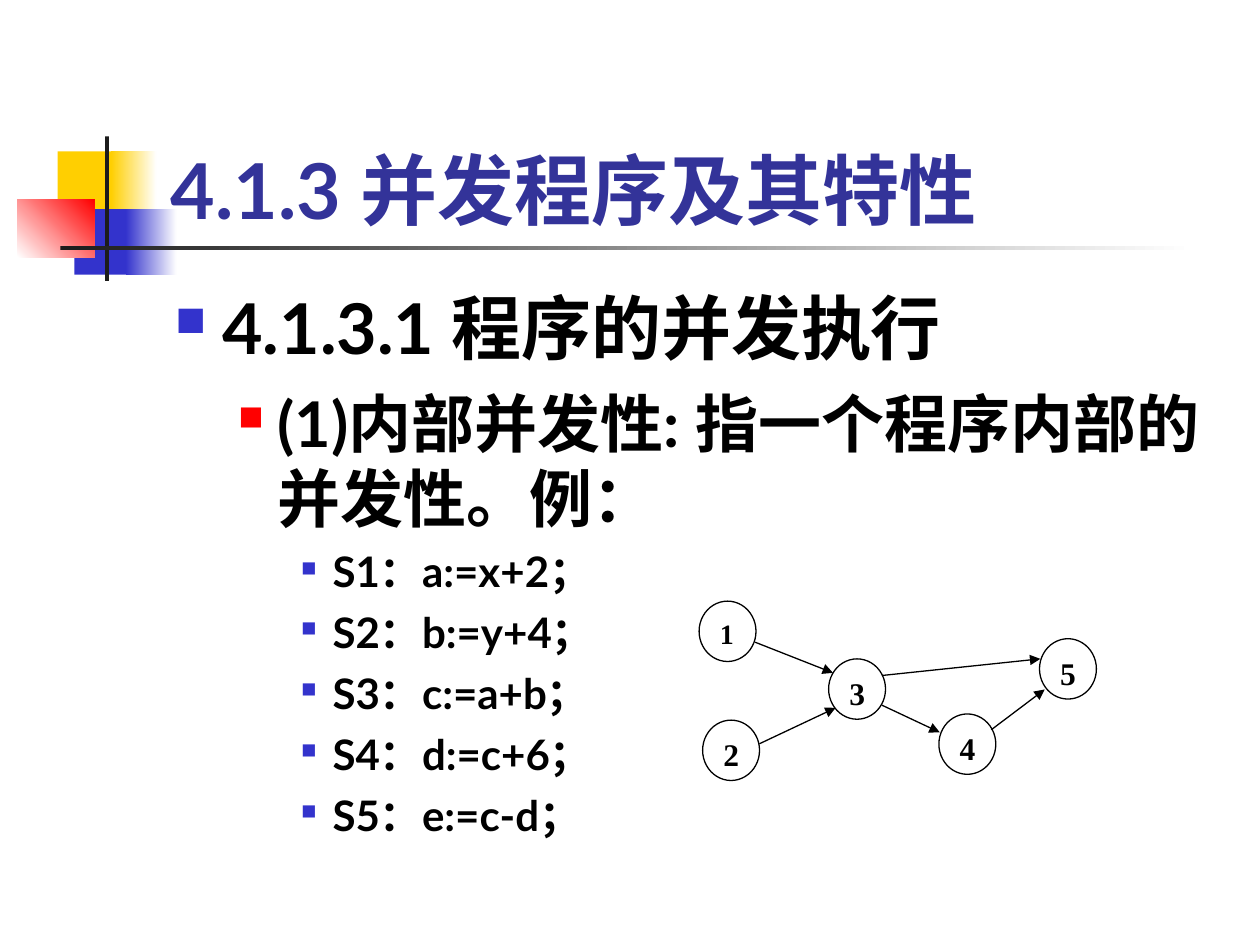
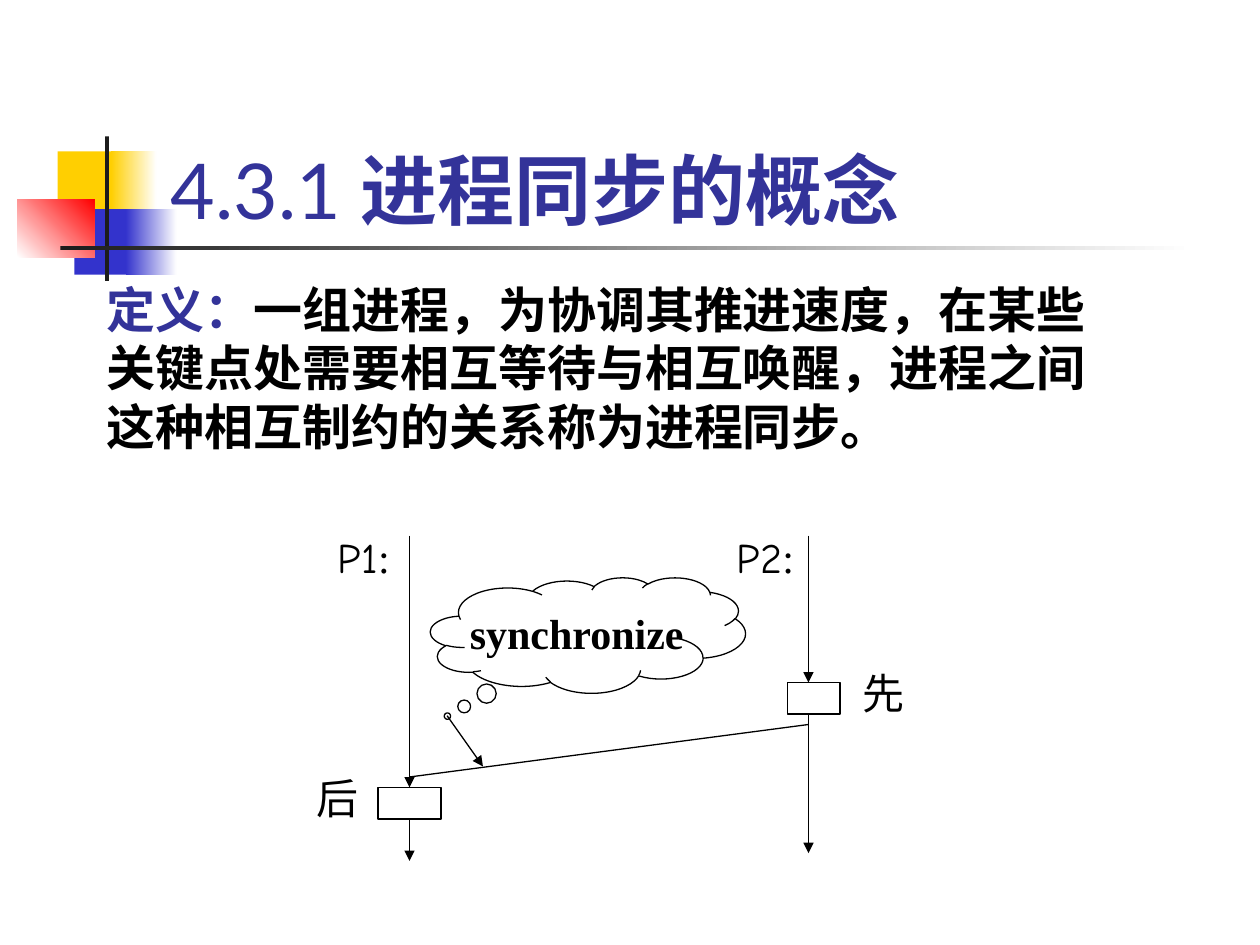
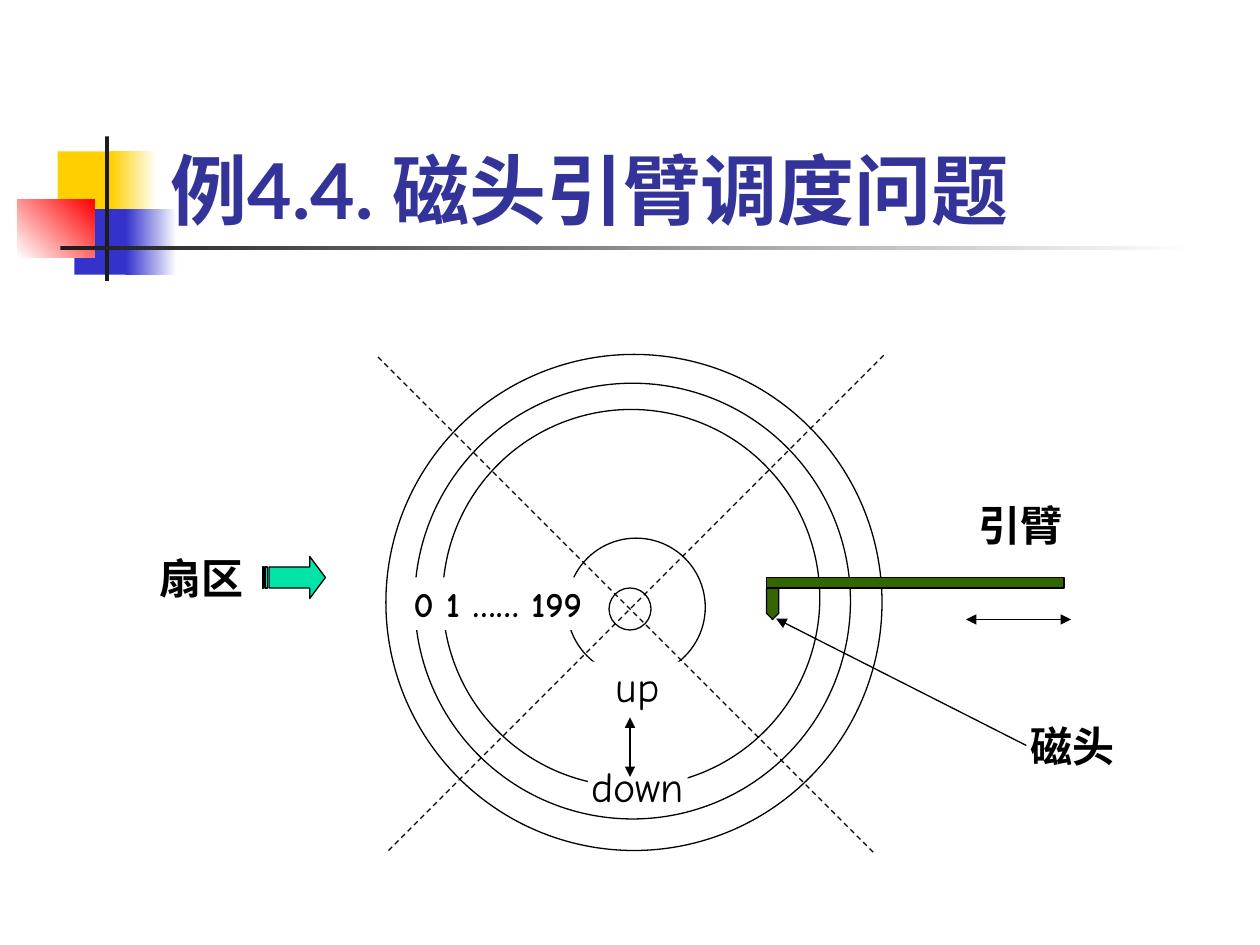
from dataclasses import dataclass

import lxml.etree
import pptx
import pptx.dml.color
import pptx.enum.dml
import pptx.enum.shapes
import pptx.enum.text
import pptx.oxml.ns
import pptx.util

Pt = pptx.util.Pt
qn = pptx.oxml.ns.qn
SHAPE = pptx.enum.shapes.MSO_SHAPE
ANCHOR = pptx.enum.text.MSO_ANCHOR
ALIGN = pptx.enum.text.PP_ALIGN

BLACK, WHITE, INK = "000000", "FFFFFF", "1C1C1C"
YELLOW, BLUE, RED, TITLE_BLUE = "FFCF01", "3333CC", "FF0000", "333399"
ARM_GREEN, ARROW_GREEN = "336600", "00E4A8"
LATO, TIMES, COMIC = "Lato", "Times New Roman", "Comic Neue"


@dataclass(frozen=True)
class Style:
    font: str
    size: float
    bold: bool = False
    color: str = BLACK


@dataclass(frozen=True)
class Box:
    x: float
    y: float
    w: float
    h: float
    kind: SHAPE = SHAPE.RECTANGLE
    fill: str | None = WHITE
    fade_to: str | None = None
    angle: float = 0
    outlined: bool = True


@dataclass(frozen=True)
class Label:
    x: float
    y: float
    w: float
    h: float
    text: str
    style: Style


@dataclass(frozen=True)
class Line:
    x1: float
    y1: float
    x2: float
    y2: float
    head: bool = False
    tail: bool = True
    dashed: bool = False


@dataclass(frozen=True)
class Node:
    x: float
    y: float
    text: str
    size: float = 18


@dataclass(frozen=True)
class Level:
    margin: float
    hang: float
    before: float
    bullet_color: str
    bullet_percent: int
    size: float


TITLE = Style(LATO, 44, True, TITLE_BLUE)
CAPTION = Style(COMIC, 24, True)
PLAIN_COMIC = Style(COMIC, 24)
PLAIN_TIMES = Style(TIMES, 24)

DECORATION = [
    Box(33, 86.5, 34.5, 37.5, fill=YELLOW, outlined=False),
    Box(63.5, 86.5, 26, 37.5, fill=YELLOW, fade_to=WHITE, outlined=False),
    Box(42.5, 119.5, 33, 37.5, fill=BLUE, outlined=False),
    Box(72, 119.5, 29, 37.5, fill=BLUE, fade_to=WHITE, outlined=False),
    Box(10, 114, 44, 33, fill=WHITE, fade_to=RED, angle=45, outlined=False),
    Box(60, 78, 2.25, 82.5, fill=INK, outlined=False),
    Box(34.5, 140.5, 648, 2.5, fill=INK, fade_to=WHITE, outlined=False),
]

LEVELS = [
    Level(27, 27, 10, BLUE, 60, 40),
    Level(58.5, 22.5, 9, RED, 55, 36),
    Level(90, 18, 6, BLUE, 50, 24),
]


def rgb(color: str):
    return pptx.dml.color.RGBColor.from_string(color)


def format_runs(p, style: Style) -> None:
    for r in p.runs:
        r.font.name = style.font
        r.font.size = Pt(style.size)
        r.font.bold = style.bold
        r.font.color.rgb = rgb(style.color)


def add_run(p, text: str, style: Style) -> None:
    r = p.add_run()
    r.text = text
    r.font.name = style.font
    r.font.size = Pt(style.size)
    r.font.bold = style.bold
    r.font.color.rgb = rgb(style.color)


def write(tf, text: str, style: Style, align=None) -> None:
    tf.text = text
    for p in tf.paragraphs:
        p.alignment = align
        format_runs(p, style)


def draw_box(s, box: Box):
    sp = s.shapes.add_shape(box.kind, Pt(box.x), Pt(box.y), Pt(box.w), Pt(box.h))
    sp.shadow.inherit = False
    if box.fill is None:
        sp.fill.background()
    elif box.fade_to:
        sp.fill.gradient()
        sp.fill.gradient_angle = box.angle
        for stop, color in zip(sp.fill.gradient_stops, (box.fill, box.fade_to)):
            stop.color.rgb = rgb(color)
    else:
        sp.fill.solid()
        sp.fill.fore_color.rgb = rgb(box.fill)
    if box.outlined:
        sp.line.color.rgb = rgb(BLACK)
        sp.line.width = Pt(0.75)
    else:
        sp.line.fill.background()
    return sp


def draw_centred(s, box: Box, text: str, style: Style):
    sp = draw_box(s, box)
    sp.text_frame.word_wrap = False
    sp.text_frame.vertical_anchor = ANCHOR.MIDDLE
    write(sp.text_frame, text, style, ALIGN.CENTER)
    return sp


def draw_circle(s, x: float, y: float, size: float) -> None:
    draw_box(s, Box(x, y, size, size, SHAPE.OVAL))


def draw_node(s, node: Node) -> None:
    sp = draw_box(s, Box(node.x, node.y, 32.5, 34.5, SHAPE.OVAL))
    sp.text_frame.vertical_anchor = ANCHOR.TOP
    write(sp.text_frame, node.text, Style(TIMES, node.size, True), ALIGN.JUSTIFY)


def draw_label(s, label: Label):
    sp = s.shapes.add_textbox(Pt(label.x), Pt(label.y), Pt(label.w), Pt(label.h))
    sp.text_frame.word_wrap = True
    write(sp.text_frame, label.text, label.style)
    return sp


def draw_line(s, line: Line):
    c = s.shapes.add_connector(
        pptx.enum.shapes.MSO_CONNECTOR.STRAIGHT,
        Pt(line.x1), Pt(line.y1), Pt(line.x2), Pt(line.y2),
    )
    c.line.color.rgb = rgb(BLACK)
    c.line.width = Pt(0.75)
    if line.dashed:
        c.line.dash_style = pptx.enum.dml.MSO_LINE.DASH
    props = c.element.spPr
    ln = props.find(qn("a:ln"))
    for wanted, tag in ((line.head, "a:headEnd"), (line.tail, "a:tailEnd")):
        if wanted:
            lxml.etree.SubElement(ln, qn(tag), type="triangle")
    lxml.etree.SubElement(props, qn("a:effectLst"))
    return c


def add_bullet(p, level: Level) -> None:
    props = p._p.get_or_add_pPr()
    props.set("marL", str(Pt(level.margin)))
    props.set("indent", str(-Pt(level.hang)))
    color = lxml.etree.SubElement(props, qn("a:buClr"))
    lxml.etree.SubElement(color, qn("a:srgbClr"), val=level.bullet_color)
    lxml.etree.SubElement(props, qn("a:buSzPct"), val=str(level.bullet_percent * 1000))
    lxml.etree.SubElement(props, qn("a:buChar"), char="■")


def draw_outline(s, items: list[tuple[int, str]]) -> None:
    sp = s.shapes.add_textbox(Pt(93), Pt(159), Pt(612), Pt(324))
    tf = sp.text_frame
    tf.word_wrap = True
    for i, (depth, text) in enumerate(items):
        p = tf.add_paragraph() if i else tf.paragraphs[0]
        level = LEVELS[depth]
        p.text = text
        p.level = depth
        add_bullet(p, level)
        if i:
            p.space_before = Pt(level.before)
        format_runs(p, Style(LATO, level.size, True))


def new_slide(prs, title: str, style: Style = TITLE):
    s = prs.slides.add_slide(prs.slide_layouts[6])
    for box in DECORATION:
        draw_box(s, box)
    sp = draw_label(s, Label(90.5, 48, 613.5, 90, title, style))
    sp.text_frame.vertical_anchor = ANCHOR.BOTTOM
    return s, sp.text_frame.paragraphs[0]


def build_concurrency(prs) -> None:
    s, _ = new_slide(prs, "4.1.3 并发程序及其特性")
    statements = ["a:=x+2", "b:=y+4", "c:=a+b", "d:=c+6", "e:=c-d"]
    draw_outline(s, [
        (0, "4.1.3.1 程序的并发执行"),
        (1, "(1)内部并发性: 指一个程序内部的并发性。例："),
        *((2, f"S{n}：{code}；") for n, code in enumerate(statements, 1)),
    ])
    for node in [
        Node(401.5, 411.5, "2"),
        Node(399.5, 343.5, "1", 16),
        Node(536.5, 408, "4"),
        Node(473.5, 376.5, "3"),
        Node(594, 365, "5"),
    ]:
        draw_node(s, node)
    for line in [
        Line(504, 403, 537, 418.5),
        Line(434, 425, 477.5, 404.5),
        Line(431.5, 367, 476, 384.5),
        Line(504, 386, 594.5, 376.5),
        Line(566.5, 417, 597, 394),
    ]:
        draw_line(s, line)


def build_synchronization(prs) -> None:
    s, p = new_slide(prs, "4.3.1 ", Style(LATO, 44, False, TITLE_BLUE))
    add_run(p, "进程同步的概念", TITLE)
    definition = Label(54, 156, 594, 108, "定义：", Style(TIMES, 28, True, TITLE_BLUE))
    add_run(
        draw_label(s, definition).text_frame.paragraphs[0],
        "一组进程，为协调其推进速度，在某些关键点处需要相互等待与相互唤醒，"
        "进程之间这种相互制约的关系称为进程同步。",
        Style(TIMES, 28, True),
    )
    for process in [
        Label(186, 300, 48, 36, "P1", PLAIN_COMIC),
        Label(414, 300, 54, 36, "P2", PLAIN_COMIC),
    ]:
        add_run(draw_label(s, process).text_frame.paragraphs[0], ":", PLAIN_TIMES)
    draw_label(s, Label(174, 438, 36, 36, "后", PLAIN_TIMES))
    draw_label(s, Label(486, 378, 42, 36, "先", PLAIN_TIMES))

    draw_box(s, Box(450, 390, 30, 18))
    later = draw_box(s, Box(216, 450, 36, 18))
    for line in [
        Line(462, 306, 462, 390),
        Line(462, 408, 462, 487.5),
        Line(234, 444, 462, 414, tail=False),
    ]:
        draw_line(s, line)
    draw_line(s, Line(234, 306, 234, 450)).end_connect(later, 0)
    draw_line(s, Line(234, 468, 234, 492)).begin_connect(later, 2)

    cloud = draw_centred(
        s, Box(246, 330, 180, 66, SHAPE.CLOUD_CALLOUT, None),
        "synchronize", Style(TIMES, 24, True),
    )
    cloud.adjustments[0] = -0.446
    cloud.adjustments[1] = 0.701
    draw_line(s, Line(255.5, 409, 276, 438))


def build_disk(prs) -> None:
    s, _ = new_slide(prs, "例4.4. 磁头引臂调度问题")
    for track in [
        (220.5, 202.5, 283.5),
        (237, 219, 249),
        (253, 234, 215.5),
        (324, 307.5, 79),
    ]:
        draw_circle(s, *track)
    draw_centred(
        s, Box(228, 330, 113, 30, outlined=False), "0 1 …… 199", Style(COMIC, 20, True)
    )
    draw_circle(s, 348, 336, 24)
    draw_box(s, Box(438, 336, 7, 18, SHAPE.FLOWCHART_OFFPAGE_CONNECTOR, ARM_GREEN))
    draw_box(s, Box(438, 330, 170, 6, fill=ARM_GREEN))
    directions = draw_centred(
        s, Box(336, 378, 57, 85, outlined=False), "up\ndown", PLAIN_COMIC
    )
    directions.text_frame.paragraphs[1].space_before = Pt(28.5)
    for line in [
        Line(360, 410, 360, 444, head=True),
        Line(443.5, 353.5, 586.5, 426, head=True, tail=False),
        Line(216, 204, 499.5, 487.5, tail=False, dashed=True),
        Line(222, 486, 505.5, 202.5, tail=False, dashed=True),
        Line(552, 354, 612, 354, head=True),
    ]:
        draw_line(s, line)
    for label in [
        Label(582, 408, 66, 36, "磁头", CAPTION),
        Label(552, 282, 72, 36, "引臂", CAPTION),
        Label(84, 312, 66, 36, "扇区", CAPTION),
    ]:
        draw_label(s, label)
    arrow = draw_box(s, Box(150, 318, 36, 24, SHAPE.STRIPED_RIGHT_ARROW, ARROW_GREEN))
    arrow.adjustments[1] = 0.375


def main() -> None:
    prs = pptx.Presentation()
    prs.slide_width, prs.slide_height = Pt(720), Pt(540)
    build_concurrency(prs)
    build_synchronization(prs)
    build_disk(prs)
    prs.save("out.pptx")


if __name__ == "__main__":
    main()
